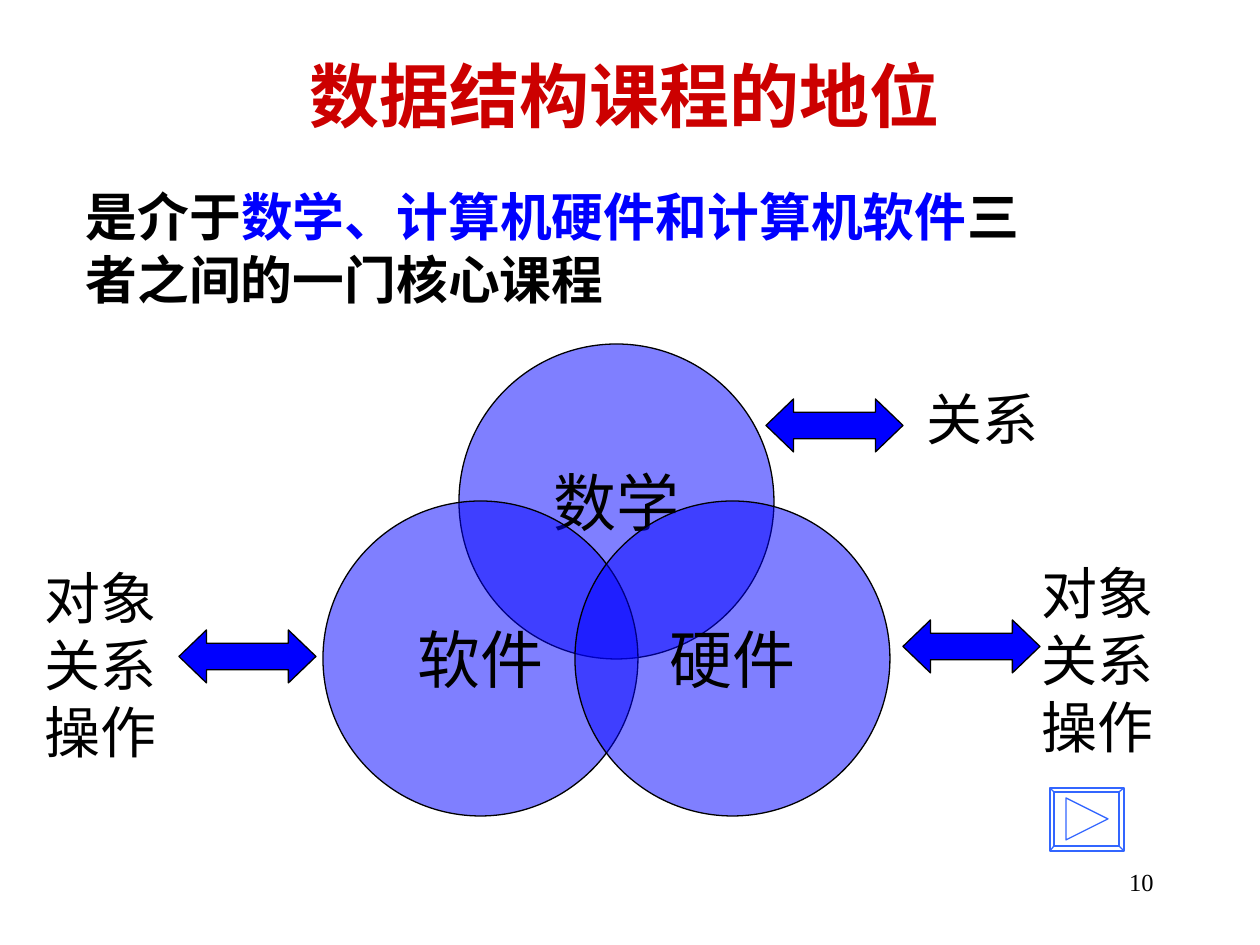
from pptx import Presentation
from pptx.dml.color import RGBColor
from pptx.enum.shapes import MSO_SHAPE
from pptx.enum.text import MSO_ANCHOR, PP_ALIGN
from pptx.oxml.ns import qn
from pptx.util import Pt
from lxml.etree import SubElement

SCALE = 914400 / 126
BLUE = "0000FF"


def px(*nums):
    """Turn pixel lengths into EMU."""
    return [round(n * SCALE) for n in nums]


def write(shape, lines, size, face, align=PP_ALIGN.LEFT, anchor=MSO_ANCHOR.TOP,
          wrap=True, color="000000", bold=False):
    """Fill a shape with paragraphs in one style."""
    frame = shape.text_frame
    frame.text = "\n".join(lines)
    frame.word_wrap = wrap
    frame.vertical_anchor = anchor
    for para in frame.paragraphs:
        para.alignment = align
        para.font.size = Pt(size)
        para.font.name = face
        para.font.bold = bold
        para.font.color.rgb = RGBColor.from_string(color)


deck = Presentation()
deck.slide_width, deck.slide_height = px(1260, 945)
slide = deck.slides.add_slide(deck.slide_layouts[5])
shapes = slide.shapes

# Title, page number and lead sentence
title = shapes.title
title.left, title.top, title.width, title.height = px(210, 42, 829, 105)
write(title, ["数据结构课程的地位"], 40, "Times New Roman", PP_ALIGN.CENTER,
      MSO_ANCHOR.MIDDLE, color="CC0000", bold=True)

number = shapes.add_textbox(*px(904, 861, 262, 63))
write(number, ["10"], 14, "Times New Roman", PP_ALIGN.RIGHT)

lead = shapes.add_textbox(*px(73, 179, 987, 147))
write(lead, ["是介于"], 29.6, "Times New Roman", bold=True)
para = lead.text_frame.paragraphs[0]
topic = para.add_run()
topic.text = "数学、计算机硬件和计算机软件"
topic.font.color.rgb = RGBColor.from_string(BLUE)
para.add_run().text = "三者之间的一门核心课程"

# Next button: bevelled frame with a triangle
outer = [(1050, 788), (1124, 788), (1124, 851), (1050, 851)]
inner = [(1054, 792), (1119, 792), (1119, 846), (1054, 846)]
play = [(1066, 798), (1108, 819), (1066, 840)]
pen = shapes.build_freeform(*outer[0], scale=SCALE)
pen.add_line_segments(outer[1:], close=True)
for ring in (inner, play):
    pen.move_to(*ring[0])
    pen.add_line_segments(ring[1:], close=True)
for start, end in zip(outer, inner):
    pen.move_to(*start)
    pen.add_line_segments([end], close=False)
button = pen.convert_to_shape()
button.shadow.inherit = False
button.fill.background()
button.line.color.rgb = RGBColor.from_string("3366FF")
button.line.width = Pt(0.75)

# Side labels
label = shapes.add_textbox(*px(914, 378, 147, 81))
write(label, ["关系"], 32, "Arial")

for left, top in [(1029, 552), (32, 557)]:
    box = shapes.add_shape(MSO_SHAPE.RECTANGLE, *px(left, top, 137, 214))
    box.shadow.inherit = False
    box.fill.solid()
    box.fill.fore_color.rgb = RGBColor.from_string("FFFFFF")
    box.line.fill.background()
    write(box, ["对象", "关系", "操作"], 32, "Arial", wrap=False)

# Venn circles and double arrows
venn = shapes.add_group_shape()
solids = []
for name, left, top in [("数学", 459, 344), ("软件", 323, 501), ("硬件", 575, 501)]:
    disc = venn.shapes.add_shape(MSO_SHAPE.OVAL, *px(left, top, 315, 315))
    write(disc, [name], 36, "Arial Narrow", PP_ALIGN.CENTER, MSO_ANCHOR.MIDDLE, False)
    solids.append(disc)

for left, top in [(766, 399), (903, 620), (179, 630)]:
    arrow = shapes.add_shape(MSO_SHAPE.LEFT_RIGHT_ARROW, *px(left, top, 137, 53))
    arrow.adjustments[0] = 0.5
    arrow.adjustments[1] = 0.52
    solids.append(arrow)

for shape in solids:
    shape.shadow.inherit = False
    shape.fill.solid()
    shape.fill.fore_color.rgb = RGBColor.from_string(BLUE)
    shape.line.color.rgb = RGBColor.from_string("000000")
    shape.line.width = Pt(0.75)

for disc in venn.shapes:
    tint = disc.element.spPr.find(qn("a:solidFill")).find(qn("a:srgbClr"))
    SubElement(tint, qn("a:alpha")).set("val", "50000")

deck.save("out.pptx")
